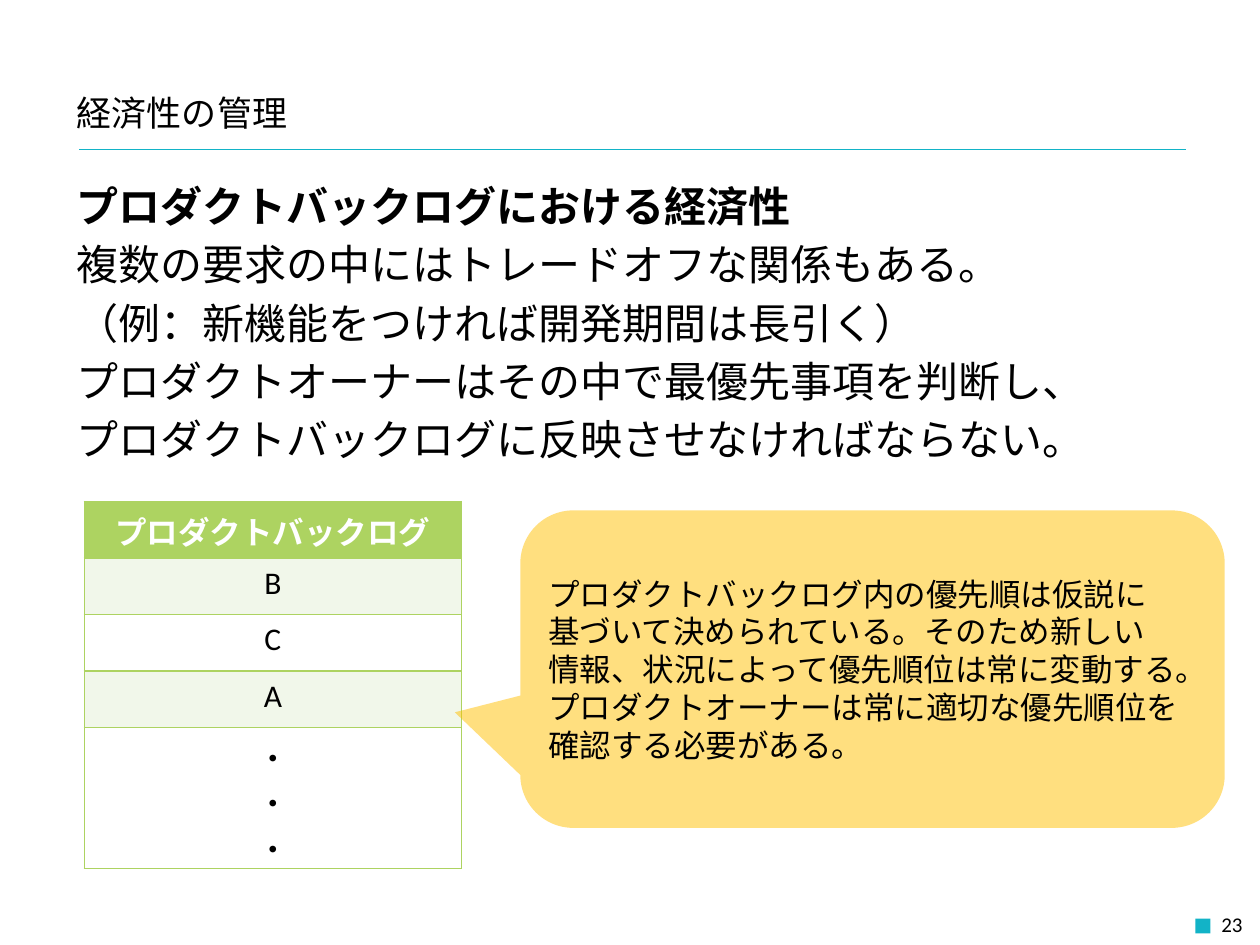
from dataclasses import dataclass
from typing import Optional

from lxml import etree
from pptx import Presentation
from pptx.dml.color import RGBColor
from pptx.enum.shapes import MSO_CONNECTOR, MSO_SHAPE
from pptx.enum.text import MSO_ANCHOR, PP_ALIGN
from pptx.oxml import parse_xml
from pptx.oxml.ns import nsdecls, qn
from pptx.util import Cm, Pt

LEFT, CENTER, RIGHT = PP_ALIGN.LEFT, PP_ALIGN.CENTER, PP_ALIGN.RIGHT
TOP, MIDDLE = MSO_ANCHOR.TOP, MSO_ANCHOR.MIDDLE
STRAIGHT = MSO_CONNECTOR.STRAIGHT
RECTANGLE = MSO_SHAPE.RECTANGLE
CALLOUT = MSO_SHAPE.ROUNDED_RECTANGULAR_CALLOUT

BLACK = RGBColor(0x00, 0x00, 0x00)
WHITE = RGBColor(0xFF, 0xFF, 0xFF)
TEAL = RGBColor(0x12, 0xB3, 0xC7)
GREEN = RGBColor(0xAD, 0xD3, 0x61)
PALE_GREEN = RGBColor(0xF1, 0xF7, 0xEA)
AMBER = RGBColor(0xFF, 0xC0, 0x00)
JAPANESE, LATIN = "Noto Sans CJK JP", "Calibri"


@dataclass(frozen=True)
class Box:
    """A place on the slide, in centimetres."""
    left: float
    top: float
    width: float
    height: float

    def lengths(self):
        """Return left, top, width and height as lengths."""
        return Cm(self.left), Cm(self.top), Cm(self.width), Cm(self.height)


@dataclass(frozen=True)
class Style:
    """The look of a block of text."""
    size: float
    font: str = JAPANESE
    color: RGBColor = BLACK
    bold: bool = False
    align: PP_ALIGN = LEFT
    line_pitch: Optional[float] = None
    space_before: float = 0


@dataclass(frozen=True)
class TextBlock:
    """Lines of text that stand free on the slide."""
    box: Box
    lines: tuple
    style: Style
    anchor: MSO_ANCHOR = MIDDLE


@dataclass(frozen=True)
class BacklogRow:
    """One row of the backlog table."""
    lines: tuple
    height: float
    fill: RGBColor
    color: RGBColor = BLACK
    bold: bool = False


TITLE = TextBlock(Box(1.3, 1.83, 17.4, 0.89), ("経済性の管理",), Style(20))
BODY = TextBlock(
    Box(1.3, 3.53, 23.4, 14.6),
    ("プロダクトバックログにおける経済性",
     "複数の要求の中にはトレードオフな関係もある。",
     "（例：新機能をつければ開発期間は長引く）",
     "プロダクトオーナーはその中で最優先事項を判断し、",
     "プロダクトバックログに反映させなければならない。"),
    Style(24, line_pitch=28.5, space_before=4.8), TOP)
PAGE_NUMBER = TextBlock(Box(19.38, 18.11, 5.92, 1.02), ("23",),
                        Style(12, LATIN, align=RIGHT))

ITEM_HEIGHT = 1.14
BACKLOG_BOX = Box(1.7, 10.11, 7.6, 7.4)
BACKLOG = (
    BacklogRow(("プロダクトバックログ",), ITEM_HEIGHT, GREEN, WHITE, True),
    BacklogRow(("B",), ITEM_HEIGHT, PALE_GREEN),
    BacklogRow(("C",), ITEM_HEIGHT, WHITE),
    BacklogRow(("A",), ITEM_HEIGHT, PALE_GREEN),
    BacklogRow(("・",) * 3, 2.84, WHITE),
)

REMARK_BOX = Box(10.49, 10.29, 14.2, 6.4)
REMARK_ADJUSTMENTS = (-0.593, 0.136, 0.167)
REMARK_LINES = (
    "プロダクトバックログ内の優先順は仮説に",
    "基づいて決められている。そのため新しい",
    "情報、状況によって優先順位は常に変動する。",
    "プロダクトオーナーは常に適切な優先順位を確認する必要がある。",
)


def write(frame, lines: tuple, style: Style) -> None:
    """Fill a text frame with one paragraph per line."""
    frame.text = "\n".join(lines)
    for paragraph in frame.paragraphs:
        paragraph.alignment = style.align
        paragraph.space_before = Pt(style.space_before)
        if style.line_pitch:
            paragraph.line_spacing = Pt(style.line_pitch)
        for run in paragraph.runs:
            font = run.font
            font.size, font.bold, font.name = Pt(style.size), style.bold, style.font
            font.color.rgb = style.color
            east_asian = etree.SubElement(run._r.get_or_add_rPr(), qn("a:ea"))
            east_asian.set("typeface", JAPANESE)


def add_text(slide, block: TextBlock):
    """Add a wrapping text box and return its text frame."""
    frame = slide.shapes.add_textbox(*block.box.lengths()).text_frame
    frame.word_wrap = True
    frame.vertical_anchor = block.anchor
    write(frame, block.lines, block.style)
    return frame


def add_plain_shape(slide, kind: MSO_SHAPE, box: Box, color: RGBColor):
    """Add a filled shape without line or shadow."""
    shape = slide.shapes.add_shape(kind, *box.lengths())
    shape.shadow.inherit = False
    shape.fill.solid()
    shape.fill.fore_color.rgb = color
    shape.line.fill.background()
    return shape


def add_title_rule(slide) -> None:
    """Draw the thin line under the title."""
    rule = slide.shapes.add_connector(STRAIGHT, Cm(1.6), Cm(3), Cm(23.9), Cm(3))
    rule.line.color.rgb = TEAL
    rule.line.width = Pt(0.25)
    etree.SubElement(rule._element.spPr, qn("a:effectLst"))


def add_borders(cell) -> None:
    """Put a green line on all four sides of a cell."""
    properties = cell._tc.get_or_add_tcPr()
    for position, side in enumerate(("lnL", "lnR", "lnT", "lnB")):
        properties.insert(position, parse_xml(
            f'<a:{side} {nsdecls("a")} w="{Pt(1)}"><a:solidFill>'
            f'<a:srgbClr val="{GREEN}"/></a:solidFill></a:{side}>'))


def add_backlog(slide) -> None:
    """Add the product backlog table."""
    table = slide.shapes.add_table(len(BACKLOG), 1, *BACKLOG_BOX.lengths()).table
    for index, row in enumerate(BACKLOG):
        table.rows[index].height = Cm(row.height)
        cell = table.cell(index, 0)
        cell.fill.solid()
        cell.fill.fore_color.rgb = row.fill
        write(cell.text_frame, row.lines,
              Style(18, LATIN, row.color, row.bold, CENTER))
        add_borders(cell)


def add_remark(slide) -> None:
    """Add the half-transparent callout beside the table."""
    remark = add_plain_shape(slide, CALLOUT, REMARK_BOX, AMBER)
    for index, value in enumerate(REMARK_ADJUSTMENTS):
        remark.adjustments[index] = value
    color = remark._element.spPr.find(f'{qn("a:solidFill")}/{qn("a:srgbClr")}')
    etree.SubElement(color, qn("a:alpha")).set("val", "50000")
    remark.text_frame.word_wrap = True
    remark.text_frame.vertical_anchor = MIDDLE
    write(remark.text_frame, REMARK_LINES, Style(18, line_pitch=21.6))


def main() -> None:
    """Build and save the slide."""
    deck = Presentation()
    deck.slide_width, deck.slide_height = Cm(25.4), Cm(19.05)
    slide = deck.slides.add_slide(deck.slide_layouts[6])
    add_plain_shape(slide, RECTANGLE, Box(24.1, 18.52, 0.3, 0.3), TEAL)
    add_title_rule(slide)
    add_text(slide, TITLE)
    body = add_text(slide, BODY)
    body.paragraphs[0].runs[0].font.bold = True
    add_text(slide, PAGE_NUMBER)
    add_backlog(slide)
    add_remark(slide)
    deck.save("out.pptx")


main()
